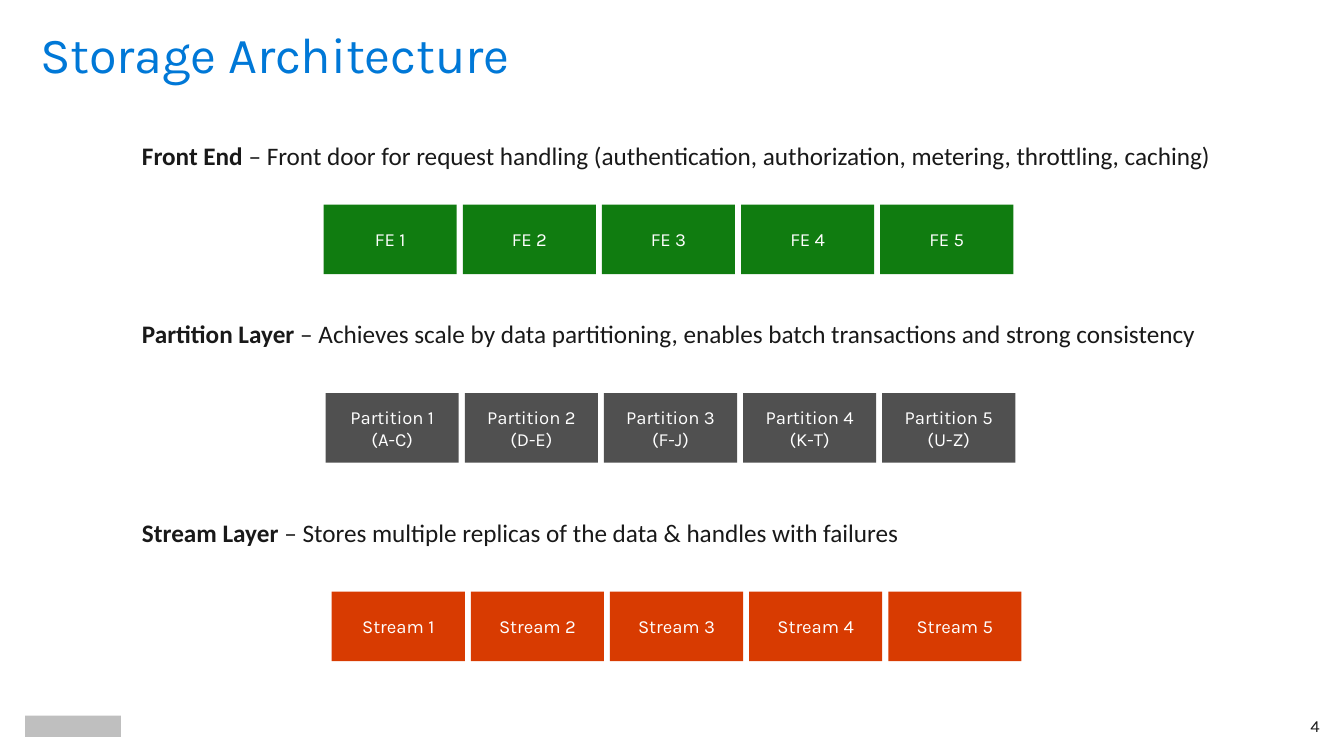
from pptx import Presentation
from pptx.dml.color import RGBColor
from pptx.enum.shapes import MSO_SHAPE
from pptx.enum.text import MSO_ANCHOR, MSO_AUTO_SIZE, PP_ALIGN
from pptx.util import Inches, Pt

RECT = MSO_SHAPE.RECTANGLE
TOP, MIDDLE = MSO_ANCHOR.TOP, MSO_ANCHOR.MIDDLE
LEFT, CENTER, RIGHT = PP_ALIGN.LEFT, PP_ALIGN.CENTER, PP_ALIGN.RIGHT
NO_FIT = MSO_AUTO_SIZE.NONE
DARK = "191919"


def paint(fill, color):
    """Make a fill solid in a hex colour."""
    fill.solid()
    fill.fore_color.rgb = RGBColor.from_string(color)


def write(shape, text, size=18, font="Karla", color=DARK, lead="",
          align=LEFT, anchor=TOP, inset=(0.1, 0.05, 0.1, 0.05)):
    """Set text, one paragraph per line, after an optional bold lead."""
    frame = shape.text_frame
    frame.word_wrap = True
    frame.auto_size = NO_FIT
    frame.vertical_anchor = anchor
    (frame.margin_left, frame.margin_top,
     frame.margin_right, frame.margin_bottom) = map(Inches, inset)
    for i, line in enumerate(text.split("\n")):
        para = frame.add_paragraph() if i else frame.paragraphs[0]
        para.alignment = align
        parts = [(lead, True), (line, False)] if lead else [(line, False)]
        for words, bold in parts:
            run = para.add_run()
            run.text = words
            run.font.size, run.font.name, run.font.bold = Pt(size), font, bold
            paint(run.font.fill, color)


deck = Presentation()
deck.slide_width, deck.slide_height = Inches(13.33), Inches(7.5)
slide = deck.slides.add_slide(deck.slide_layouts[5])
shapes = slide.shapes

# Title
title = shapes.title
title.left, title.top = Inches(0.25), Inches(0.25)
title.width, title.height = Inches(12.83), Inches(0.55)
write(title, "Storage Architecture", size=36, color="0078D7",
      inset=(0.15, 0.05, 0.15, 0.15))
para = title.text_frame.paragraphs[0]
para.line_spacing = 0.9
para.runs[0].font._element.set("spc", "-10")

# Layers: lead, text, text top, box left, box top, colour, box labels
layers = [
    ("Front End ",
     "– Front door for request handling (authentication, authorization, "
     "metering, throttling, caching)",
     1.34, 3.21, 2.03, "107C10", [f"FE {n}" for n in range(1, 6)]),
    ("Partition Layer",
     " – Achieves scale by data partitioning, enables batch transactions "
     "and strong consistency",
     3.11, 3.23, 3.9, "505050",
     [f"Partition {n}\n({span})" for n, span in
      enumerate(["A-C", "D-E", "F-J", "K-T", "U-Z"], 1)]),
    ("Stream Layer",
     " – Stores multiple replicas of the data & handles with failures",
     5.08, 3.29, 5.87, "D83B01", [f"Stream {n}" for n in range(1, 6)]),
]
STEP = 1.38
for lead, text, y, left, top, color, labels in layers:
    note = shapes.add_textbox(Inches(1.31), Inches(y),
                              Inches(11.19), Inches(0.4))
    write(note, text, font="Calibri", lead=lead)
    for i, label in enumerate(labels):
        box = shapes.add_shape(RECT, Inches(left + i * STEP), Inches(top),
                               Inches(1.32), Inches(0.69))
        box.shadow.inherit = False
        paint(box.fill, color)
        box.line.fill.background()
        write(box, label, size=13.2, color="FFFFFF", align=CENTER,
              anchor=MIDDLE, inset=(0, 0.04, 0, 0.04))

# Footer: plain brand block and page number
brand = shapes.add_shape(RECT, Inches(0.25), Inches(7.1),
                         Inches(0.95), Inches(0.21))
brand.shadow.inherit = False
paint(brand.fill, "BFBFBF")
brand.line.fill.background()

page = shapes.add_textbox(Inches(12.74), Inches(7.09),
                          Inches(0.35), Inches(0.22))
write(page, "4", size=12, align=RIGHT, anchor=MIDDLE, inset=(0, 0, 0, 0))

deck.save("out.pptx")
